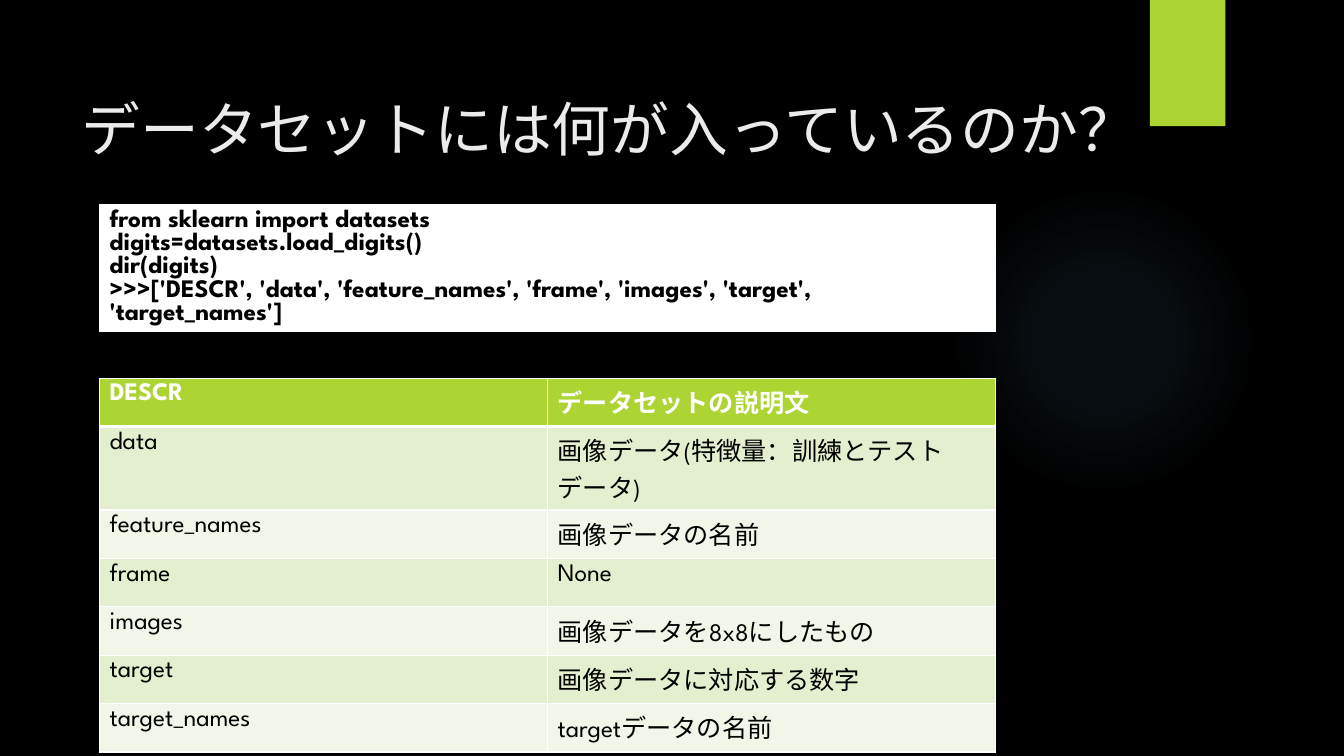
import pptx
import pptx.util
import pptx.dml.color
import pptx.enum.shapes
import pptx.enum.text
import pptx.oxml
import pptx.oxml.ns
from pptx.util import Cm, Pt

FONT = "League Spartan"
WHITE, BLACK, LIME = "FFFFFF", "000000", "ACD433"
BANDS = ["F1F7E8", "E3EFCE"]
NS = pptx.oxml.ns.nsdecls("a")

CODE = [
    "from sklearn import datasets",
    "digits=datasets.load_digits()",
    "dir(digits)",
    ">>>['DESCR', 'data', 'feature_names', 'frame', 'images', "
    "'target', 'target_names']",
]
FIELDS = [
    ("DESCR", "データセットの説明文"),
    ("data", "画像データ(特徴量：訓練とテストデータ)"),
    ("feature_names", "画像データの名前"),
    ("frame", "None"),
    ("images", "画像データを8x8にしたもの"),
    ("target", "画像データに対応する数字"),
    ("target_names", "targetデータの名前"),
]


def color(code):
    return pptx.dml.color.RGBColor.from_string(code)


class Deck:
    def __init__(self, wide, high):
        self.prs = pptx.Presentation()
        self.prs.slide_width, self.prs.slide_height = Cm(wide), Cm(high)
        self.slide = self.prs.slides.add_slide(self.prs.slide_layouts[5])
        self.paint(self.slide.background, BLACK)

    def paint(self, item, code):
        item.fill.solid()
        item.fill.fore_color.rgb = color(code)

    def text(self, frame, lines, size, code, bold=False):
        for i, line in enumerate(lines):
            para = frame.paragraphs[0] if i == 0 else frame.add_paragraph()
            para.alignment = pptx.enum.text.PP_ALIGN.LEFT
            run = para.add_run()
            run.text = line
            font = run.font
            font.name, font.size, font.bold = FONT, Pt(size), bold
            font.color.rgb = color(code)

    def title(self, text, box):
        head = self.slide.shapes.title
        head.left, head.top, head.width, head.height = map(Cm, box)
        frame = head.text_frame
        frame.word_wrap = True
        frame.auto_size = pptx.enum.text.MSO_AUTO_SIZE.NONE
        frame.vertical_anchor = pptx.enum.text.MSO_ANCHOR.MIDDLE
        self.text(frame, [text], 42, "EBEBEB")

    def shape(self, kind, box, code=None):
        item = self.slide.shapes.add_shape(kind, *map(Cm, box))
        item.shadow.inherit = False
        item.line.fill.background()
        if code:
            self.paint(item, code)
        return item

    def glow(self, box, code, stops):
        item = self.shape(pptx.enum.shapes.MSO_SHAPE.OVAL, box)
        marks = "".join(
            f'<a:gs pos="{pos * 1000}"><a:srgbClr val="{code}">'
            f'<a:alpha val="{alpha * 1000}"/></a:srgbClr></a:gs>'
            for pos, alpha in stops)
        grad = pptx.oxml.parse_xml(
            f'<a:gradFill {NS}><a:gsLst>{marks}</a:gsLst><a:path path="circle">'
            '<a:fillToRect l="50000" t="50000" r="50000" b="50000"/>'
            '</a:path></a:gradFill>')
        item.element.spPr.find(pptx.oxml.ns.qn("a:prstGeom")).addnext(grad)

    def edge(self, cell, widths):
        props = cell._tc.get_or_add_tcPr()
        for side, width in zip("LRTB", widths):
            props.append(pptx.oxml.parse_xml(
                f'<a:ln{side} {NS} w="{Pt(width)}"><a:solidFill>'
                f'<a:srgbClr val="{WHITE}"/></a:solidFill></a:ln{side}>'))

    def table(self, left, top, width, highs, cols):
        item = self.slide.shapes.add_table(
            len(highs), cols, Cm(left), Cm(top), Cm(width), Cm(sum(highs)))
        for row, high in zip(item.table.rows, highs):
            row.height = Cm(high)
        return item.table

    def cell(self, cell, lines, fill, widths, code=BLACK, bold=False):
        self.edge(cell, widths)
        self.paint(cell, fill)
        self.text(cell.text_frame, lines, 18, code, bold)


def main():
    deck = Deck(33.87, 19.05)

    # Backdrop
    deck.glow((23.9, 4.65, 7.82, 7.82), "7AC4F0", [(0, 7), (36, 6), (69, 0)])
    deck.shape(pptx.enum.shapes.MSO_SHAPE.RECTANGLE,
               (28.98, 0, 1.9, 3.18), LIME)

    # Title
    deck.title("データセットには何が入っているのか？", (1.8, 1.27, 26.14, 3.89))

    # Code panel
    left, width = 2.51, 22.58
    panel = deck.table(left, 5.16, width, [3.18], 1)
    deck.cell(panel.cell(0, 0), CODE, WHITE, [0.75] * 4, bold=True)

    # Field table: thick rule under the header, banded rows below
    highs = [2.1 if name == "data" else 1.22 for name, _ in FIELDS]
    grid = deck.table(left, 9.53, width, highs, 2)
    for i, pair in enumerate(FIELDS):
        head = i == 0
        widths = [1, 1, 3 if i == 1 else 1, 3 if head else 1]
        for j, text in enumerate(pair):
            deck.cell(grid.cell(i, j), [text], LIME if head else BANDS[i % 2],
                      widths, WHITE if head else BLACK, head)

    deck.prs.save("out.pptx")


if __name__ == "__main__":
    main()
